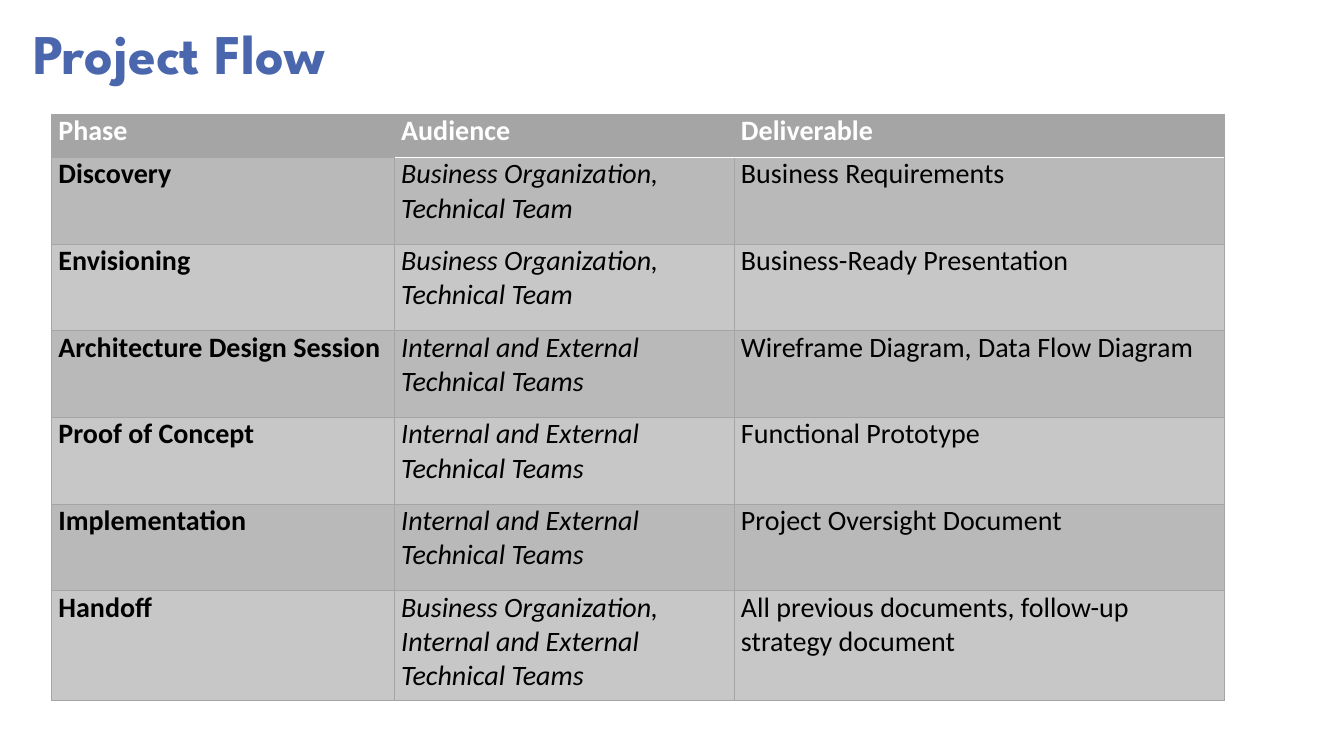
"""Builds the Project Flow slide: a title above a table of project phases."""
from dataclasses import dataclass

from lxml.etree import SubElement
from pptx import Presentation
from pptx.dml.color import RGBColor
from pptx.enum.text import MSO_ANCHOR
from pptx.oxml.ns import qn
from pptx.util import Inches, Pt


@dataclass(frozen=True)
class Theme:
    title_font: str = "League Spartan"
    body_font: str = "Calibri"
    title_size: int = 40
    body_size: int = 20
    title_color: str = "4A66AC"
    header_text: str = "FFFFFF"
    body_text: str = "000000"
    header_fill: str = "A5A5A5"
    bands: tuple = ("B9B9B9", "C7C7C7")
    rule: str = "A5A5A5"
    header_rule: str = "FFFFFF"


class SlideBuilder:
    def __init__(self, page, theme):
        self.page = page
        self.theme = theme

    def add_text(self, frame, text, color, **formats):
        para = frame.paragraphs[0]
        span = para.add_run()
        span.text = text
        span.font.color.rgb = RGBColor.from_string(color)
        for name, value in formats.items():
            setattr(span.font, name, value)
        return para

    def title(self, text, left, top, width, height):
        theme = self.theme
        box = self.page.shapes.add_textbox(*map(Inches, (left, top, width, height)))
        frame = box.text_frame
        frame.word_wrap = True
        frame.vertical_anchor = MSO_ANCHOR.BOTTOM
        para = self.add_text(frame, text, theme.title_color, name=theme.title_font,
                             size=Pt(theme.title_size), bold=True)
        para.line_spacing = 0.8

    def borders(self, cell, sides):
        properties = cell._tc.get_or_add_tcPr()
        for side in ("L", "R", "T", "B"):
            color, width = sides[side]
            line = SubElement(properties, qn(f"a:ln{side}"), w=str(Pt(width)))
            fill = SubElement(line, qn("a:solidFill"))
            SubElement(fill, qn("a:srgbClr"), val=color)

    def cell(self, cell, text, row, column):
        theme = self.theme
        header = row == 0
        layout = {"margin_left": Inches(0.07), "margin_right": Inches(0.07),
                  "margin_top": 0, "margin_bottom": 0,
                  "vertical_anchor": MSO_ANCHOR.TOP}
        for name, value in layout.items():
            setattr(cell, name, value)
        sides = dict.fromkeys("LRTB", (theme.rule, 0.5))
        if not header and column < 2:
            sides["R" if column == 0 else "L"] = (theme.rule, 1)
        if row < 2 and column > 0:
            sides["B" if header else "T"] = (theme.header_rule, 1)
        self.borders(cell, sides)
        fill = theme.header_fill if header else theme.bands[(row - 1) % 2]
        cell.fill.solid()
        cell.fill.fore_color.rgb = RGBColor.from_string(fill)
        self.add_text(cell.text_frame, text,
                      theme.header_text if header else theme.body_text,
                      name=theme.body_font, size=Pt(theme.body_size),
                      bold=header or column == 0,
                      italic=not header and column == 1)

    def table(self, records, left, top, widths, heights):
        extent = (left, top, sum(widths), sum(heights))
        table = self.page.shapes.add_table(
            len(heights), len(widths), *map(Inches, extent)).table
        for column, width in zip(table.columns, widths):
            column.width = Inches(width)
        for row, height in zip(table.rows, heights):
            row.height = Inches(height)
        for row, record in enumerate(records):
            for column, text in enumerate(record):
                self.cell(table.cell(row, column), text, row, column)


BUSINESS = "Business Organization, Technical Team"
TECHNICAL = "Internal and External Technical Teams"
PHASES = [
    ("Phase", "Audience", "Deliverable"),
    ("Discovery", BUSINESS, "Business Requirements"),
    ("Envisioning", BUSINESS, "Business-Ready Presentation"),
    ("Architecture Design Session", TECHNICAL, "Wireframe Diagram, Data Flow Diagram"),
    ("Proof of Concept", TECHNICAL, "Functional Prototype"),
    ("Implementation", TECHNICAL, "Project Oversight Document"),
    ("Handoff", f"Business Organization, {TECHNICAL}",
     "All previous documents, follow-up strategy document"),
]

deck = Presentation()
deck.slide_width, deck.slide_height = Inches(13.33), Inches(7.5)
builder = SlideBuilder(deck.slides.add_slide(deck.slide_layouts[6]), Theme())
builder.title("Project Flow", 0.23, 0.25, 5.5, 0.64)
builder.table(PHASES, 0.51, 1.13, [3.4, 3.37, 4.86], [0.43] + [0.86] * 5 + [1.09])
deck.save("out.pptx")
